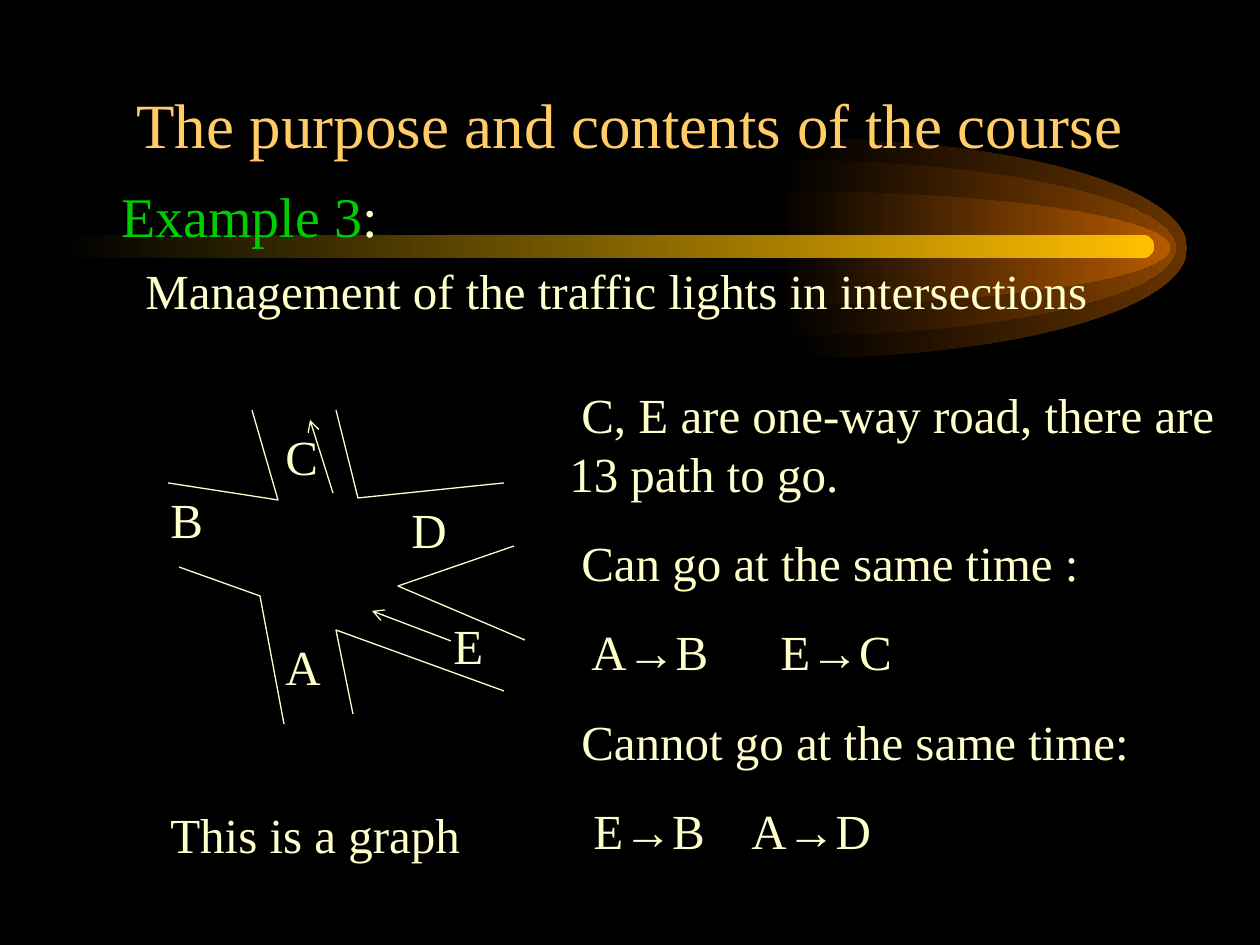
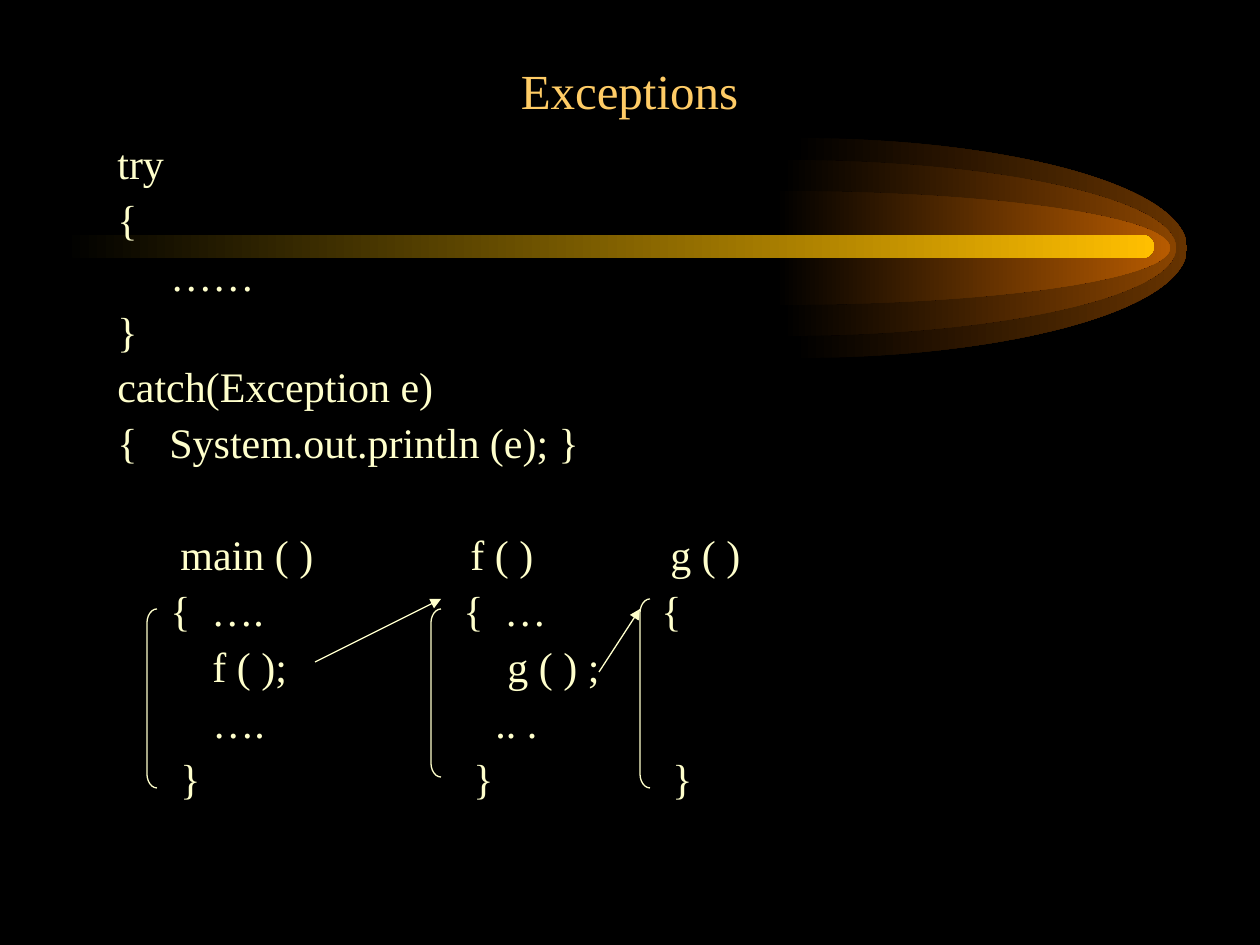
from lxml import etree
from pptx import Presentation
from pptx.dml.color import RGBColor
from pptx.enum.shapes import MSO_CONNECTOR, MSO_SHAPE
from pptx.enum.text import MSO_ANCHOR, MSO_AUTO_SIZE, PP_ALIGN
from pptx.oxml.ns import qn
from pptx.util import Pt

PX = 914400 / 126
LINE = MSO_CONNECTOR.STRAIGHT
ROUND, BRACE = MSO_SHAPE.ROUNDED_RECTANGLE, MSO_SHAPE.LEFT_BRACKET
BOTTOM, CENTER = MSO_ANCHOR.BOTTOM, PP_ALIGN.CENTER
FIXED = MSO_AUTO_SIZE.NONE

COLORS = {
    "back": "000000", "text": "FFFFCC", "title": "FFCC66", "key": "00CC00",
    "outer": "663300", "middle": "894400", "inner": "B75B00", "bar": "FFBF00",
}
SERIF, SANS = "Times New Roman", "Arial"
MARKS = {"→": {"name": SANS}, "Example 3": {"color": "key"}}


def emu(*values):
    return [round(value * PX) for value in values]


def rgb(key):
    return RGBColor.from_string(COLORS[key])


def pick(value, i):
    """A list holds one value per line; a number counts for all lines."""
    return value[i] if isinstance(value, list) else value


def cut(text):
    """Split a text so that each marked word is a piece of its own."""
    for mark in MARKS:
        if mark in text:
            head, tail = text.split(mark, 1)
            return [*cut(head), mark, *cut(tail)]
    return [text] if text else []


class Deck:
    def __init__(self):
        self.prs = Presentation()
        self.prs.slide_width, self.prs.slide_height = emu(1260, 945)
        self.master = self.prs.slide_master
        back = self.master.background.fill
        back.solid()
        back.fore_color.rgb = rgb("back")
        self.shapes = None

    def slide(self, title, box, size):
        slide = self.prs.slides.add_slide(self.prs.slide_layouts[5])
        self.shapes = slide.shapes
        head = self.shapes.title
        head.left, head.top, head.width, head.height = emu(*box)
        frame = head.text_frame
        frame.text = title
        self.apply(frame, {"vertical_anchor": BOTTOM, "auto_size": FIXED, "word_wrap": True})
        frame.paragraphs[0].alignment = CENTER
        self.font(frame.paragraphs[0].runs[0], size=size, color="title")

    def apply(self, item, values):
        for name, value in values.items():
            setattr(item, name, value)

    def font(self, run, size, color="text", name=SERIF):
        self.apply(run.font, {"size": Pt(size), "name": name, "bold": False})
        run.font.color.rgb = rgb(color)

    def text(self, box, lines, size, before=0, spacing=1):
        """Each line is a list of (x, text) stops; x counts from the text edge."""
        frame = self.shapes.add_textbox(*emu(*box)).text_frame
        frame.word_wrap = True
        for i, stops in enumerate(lines):
            para = frame.paragraphs[0] if i == 0 else frame.add_paragraph()
            tabs = etree.SubElement(para._p.get_or_add_pPr(), qn("a:tabLst"))
            for x, _ in stops:
                if x:
                    etree.SubElement(tabs, qn("a:tab"), pos=str(emu(x)[0]), algn="l")
            gap = Pt(pick(before, i) if i else 0)
            self.apply(para, {"space_before": gap, "line_spacing": spacing})
            for piece in cut("".join("\t" * (x > 0) + word for x, word in stops)):
                run = para.add_run()
                run.text = piece
                self.font(run, pick(size, i), **MARKS.get(piece.strip(), {}))

    def stroke(self, item):
        item.line.color.rgb = rgb("text")
        item.line.width = Pt(0.75)

    def arrow(self, start, end, head):
        link = self.shapes.add_connector(LINE, *emu(*start, *end))
        self.stroke(link)
        etree.SubElement(link.line._get_or_add_ln(), qn("a:tailEnd"), type=head)
        etree.SubElement(link._element.spPr, qn("a:effectLst"))

    def outline(self, points, close=False):
        build = self.shapes.build_freeform(*points[0], scale=PX)
        build.add_line_segments(points[1:], close=close)
        shape = build.convert_to_shape()
        shape.shadow.inherit = False
        return shape

    def road(self, points):
        shape = self.outline(points)
        shape.fill.background()
        self.stroke(shape)

    def flare(self, left, wide, mid, high):
        """Half an ellipse: two straight sides bent into quarter curves."""
        shape = self.outline([(left, mid - high), (left + wide, mid), (left, mid + high)], True)
        near, bend = round(wide * 0.55), round(high * 0.55)
        bows = [((near, 0), (wide, high - bend)), ((wide, high + bend), (near, 2 * high))]
        for side, bow in zip(list(shape.element.iter(qn("a:lnTo"))), bows):
            side.tag = qn("a:cubicBezTo")
            for i, (x, y) in enumerate(bow):
                side.insert(i, etree.Element(qn("a:pt"), x=str(x), y=str(y)))
        return shape

    def preset(self, kind, box, adjust):
        shape = self.shapes.add_shape(kind, *emu(*box))
        shape.shadow.inherit = False
        shape.adjustments[0] = adjust
        return shape

    def bracket(self, box):
        shape = self.preset(BRACE, box, 1.42)
        shape.fill.background()
        self.stroke(shape)

    def glow(self, shape, color):
        """Fade from the background and move behind the master's placeholders."""
        shape.line.fill.background()
        shape.fill.gradient()
        shape.fill.gradient_angle = 0
        for stop, key in zip(shape.fill.gradient_stops, ("back", color)):
            stop.color.rgb = rgb(key)
        self.master.placeholders[0].element.addprevious(shape.element)

    def comet(self):
        for left, high, color in ((793, 110, "outer"), (782, 88, "middle"), (776, 57, "inner")):
            self.glow(self.flare(left, 394, 248, high), color)
        self.glow(self.preset(ROUND, (63, 235, 1091, 23), 0.5), "bar")


def traffic(deck):
    deck.slide("The purpose and contents of the course", (94, 9, 1071, 158), 36)
    deck.comet()
    deck.text((109, 175, 1057, 693), [
        [(0, "Example 3:")],
        [(24, "Management of the traffic lights in intersections")],
    ], [32, 28], 7)

    # Crossing
    for road in (
        [(252, 410), (278, 500), (168, 483)],
        [(336, 410), (358, 498), (504, 483)],
        [(514, 546), (398, 586), (525, 640)],
        [(353, 714), (336, 630), (504, 691)],
        [(179, 567), (260, 596), (284, 724)],
    ):
        deck.road(road)
    for name, x, y in (("C", 273, 420), ("B", 158, 483), ("D", 399, 493),
                       ("A", 273, 630), ("E", 441, 609)):
        deck.text((x, y, 73, 72), [[(0, name)]], 28)
    deck.arrow((333, 493), (310, 420), "arrow")
    deck.arrow((451, 641), (372, 611), "arrow")
    deck.text((158, 798, 357, 72), [[(0, "This is a graph")]], 28)

    # Paths
    deck.text((557, 378, 683, 488), [
        [(12, "C, E are one-way road, there are 13 path to go.")],
        [(12, "Can go at the same time :")],
        [(22, "A→B"), (211, "E→C")],
        [(12, "Cannot go at the same time:")],
        [(24, "E→B"), (182, "A→D")],
    ], 28, 17.5)


def errors(deck):
    deck.slide("Exceptions", (94, 53, 1071, 73), 28)

    # Code
    lines = [
        [(0, "try")],
        [(0, "{")],
        [(53, "……")],
        [(0, "}")],
        [(0, "catch(Exception e)")],
        [(0, "{"), (52, "System.out.println (e); }")],
        [(63, "main ( )"), (353, "f ( )"), (553, "g ( )")],
        [(53, "{"), (94, "…."), (346, "{"), (387, "…"), (544, "{")],
        [(95, "f ( );"), (390, "g ( ) ;")],
        [(95, "…."), (378, ".. .")],
        [(63, "}"), (356, "}"), (555, "}")],
    ]
    gaps = [38 if stops[0][1] == "main ( )" else 6 for stops in lines]
    deck.text((105, 137, 1060, 714), lines, 24, gaps, 0.9)

    # Calls
    for box in ((147, 609, 10, 179), (431, 609, 10, 168), (640, 599, 10, 189)):
        deck.bracket(box)
    deck.arrow((315, 662), (441, 599), "triangle")
    deck.arrow((599, 672), (640, 609), "triangle")


def main():
    deck = Deck()
    traffic(deck)
    errors(deck)
    deck.prs.save("out.pptx")


if __name__ == "__main__":
    main()
